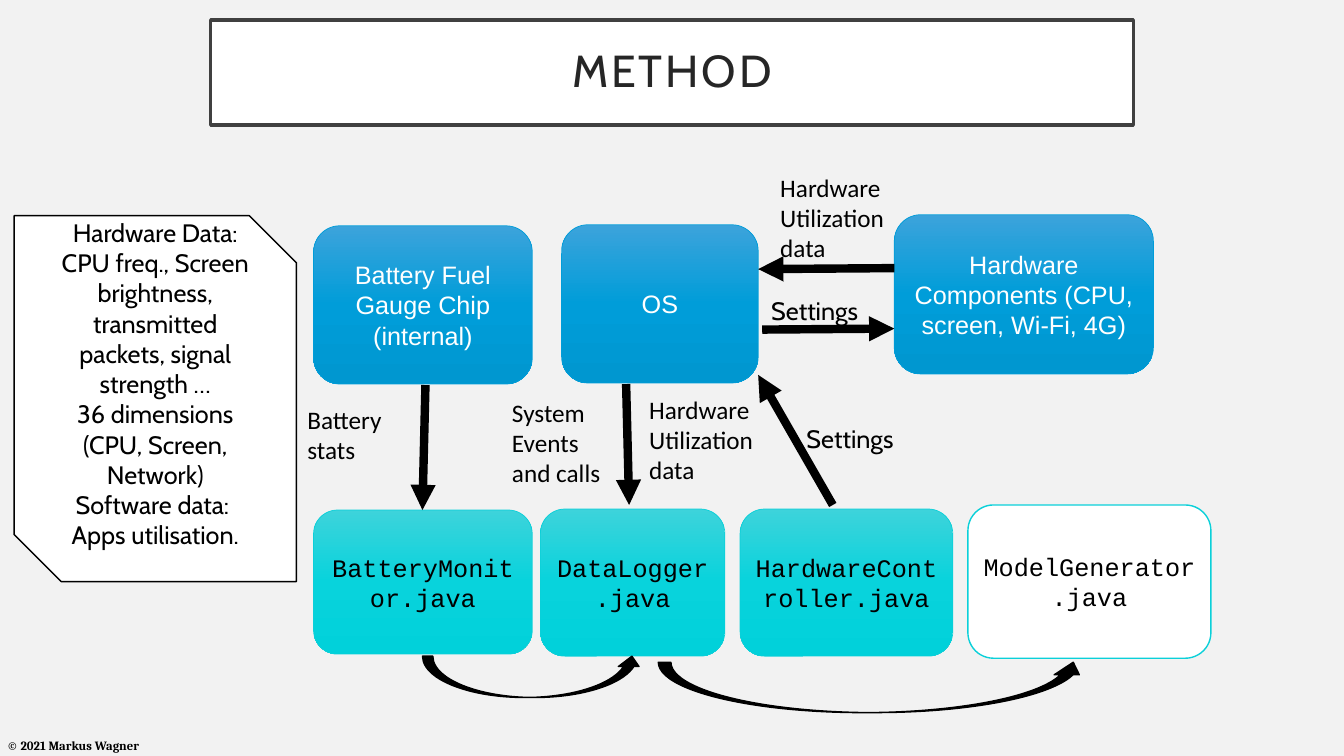
from copy import deepcopy

from lxml.etree import SubElement
from pptx import Presentation
from pptx.dml.color import RGBColor
from pptx.enum.shapes import MSO_CONNECTOR, MSO_SHAPE
from pptx.enum.text import MSO_ANCHOR, MSO_AUTO_SIZE, PP_ALIGN
from pptx.oxml.ns import qn
from pptx.util import Inches, Pt

BACKGROUND = RGBColor(0xF2, 0xF2, 0xF2)
WHITE = RGBColor(0xFF, 0xFF, 0xFF)
BLACK = RGBColor(0, 0, 0)
TITLE_TEXT = RGBColor(0x26, 0x26, 0x26)
TITLE_LINE = RGBColor(0x40, 0x40, 0x40)
TEAL = RGBColor(0x0B, 0xD0, 0xD9)
BLUE = RGBColor(0x00, 0x9D, 0xD9)
TEAL_SHADES = (RGBColor(0x3D, 0xD3, 0xDB), RGBColor(0x08, 0xD3, 0xDC), RGBColor(0x01, 0xD1, 0xDA))
BLUE_SHADES = (RGBColor(0x3C, 0xA3, 0xDB), BLUE, RGBColor(0x00, 0x97, 0xD0))

HARDWARE_DATA = ["Hardware", "Utilization", "data"]

# text, left, top, width, height
SYSTEM_BOXES = [
    ("Battery Fuel Gauge Chip (internal)", 3.11, 2.24, 2.17, 1.57),
    ("OS", 5.57, 2.23, 1.95, 1.57),
    ("Hardware Components (CPU, screen, Wi-Fi, 4G)", 8.87, 2.13, 2.57, 1.58),
]
JAVA_BOXES = [
    ("BatteryMonitor.java", 3.11, 5.06, 2.17, 1.43),
    ("DataLogger.java", 5.36, 5.05, 1.83, 1.46),
    ("HardwareController.java", 7.34, 5.05, 2.11, 1.46),
]
# lines, left, top, width, height, font
LABELS = [
    (["Battery stats"], 2.95, 3.96, 1.02, 1.01, "Calibri"),
    (["System Events and calls"], 4.98, 3.89, 1.2, 1.01, "Calibri"),
    (HARDWARE_DATA, 6.34, 3.86, 1.29, 1.31, "Calibri"),
    (HARDWARE_DATA, 7.64, 1.66, 1.29, 1.31, "Calibri"),
    (["Settings"], 7.55, 2.88, 1.38, 0.4, "Cabin"),
    (["Settings"], 7.9, 4.15, 1.38, 0.4, "Cabin"),
]
# start x, start y, end x, end y
ARROWS = [
    (4.22, 3.82, 4.19, 5.06),
    (6.21, 3.81, 6.24, 5.01),
    (8.26, 5.01, 7.52, 3.72),
    (8.87, 2.66, 7.52, 2.67),
    (7.56, 3.27, 8.87, 3.26),
]
CURVED_ARROWS = [(4.19, 6.51, 2.18, 0.41), (6.53, 6.57, 4.24, 0.5)]
DATA_LINES = [
    "Hardware Data: CPU freq., Screen brightness,",
    "transmitted packets, signal strength …",
    "36 dimensions",
    "(CPU, Screen, Network)",
    "Software data: ",
    "Apps utilisation.",
]


def write_text(shape, lines, font="Cabin", size=18, color=BLACK, bold=False,
               align=PP_ALIGN.CENTER, anchor=MSO_ANCHOR.MIDDLE,
               insets=(0.1, 0.05, 0.1, 0.05), line_spacing=None, tracking=None, wrap=True):
    frame = shape.text_frame
    frame.word_wrap = wrap
    frame.vertical_anchor = anchor
    frame.margin_left, frame.margin_top, frame.margin_right, frame.margin_bottom = map(Inches, insets)
    for index, line in enumerate(lines):
        paragraph = frame.add_paragraph() if index else frame.paragraphs[0]
        paragraph.alignment = align
        paragraph.line_spacing = line_spacing
        run = paragraph.add_run()
        run.text = line
        run.font.name = font
        run.font.size = Pt(size)
        run.font.bold = bold
        run.font.color.rgb = color
        if tracking:
            run.font._element.set("spc", str(tracking * 100))


def fill_gradient(shape, shades):
    """Fill from top to bottom with evenly spaced shades."""
    shape.fill.gradient()
    shape.fill.gradient_angle = 270
    stop_list = shape._element.spPr.find(qn("a:gradFill")).find(qn("a:gsLst"))
    stop_list.append(deepcopy(stop_list[-1]))
    for index, (stop, shade) in enumerate(zip(shape.fill.gradient_stops, shades)):
        stop.position = index / (len(shades) - 1)
        stop.color.rgb = shade


def add_box(slide, kind, left, top, width, height, fill, line, line_width):
    shape = slide.shapes.add_shape(kind, *map(Inches, (left, top, width, height)))
    shape.shadow.inherit = False
    if isinstance(fill, RGBColor):
        shape.fill.solid()
        shape.fill.fore_color.rgb = fill
    else:
        fill_gradient(shape, fill)
    shape.line.color.rgb = line
    shape.line.width = Pt(line_width)
    return shape


def add_node(slide, node, fill, line, line_width, font, color):
    text, *place = node
    shape = add_box(slide, MSO_SHAPE.ROUNDED_RECTANGLE, *place, fill, line, line_width)
    write_text(shape, [text], font=font, color=color, insets=(0.07, 0.04, 0.07, 0.04))


def add_label(slide, lines, left, top, width, height, font, **text_format):
    box = slide.shapes.add_textbox(*map(Inches, (left, top, width, height)))
    write_text(box, lines, font=font, align=PP_ALIGN.LEFT, anchor=MSO_ANCHOR.TOP, **text_format)
    box.text_frame.auto_size = MSO_AUTO_SIZE.SHAPE_TO_FIT_TEXT


def add_arrow(slide, *ends):
    arrow = slide.shapes.add_connector(MSO_CONNECTOR.STRAIGHT, *map(Inches, ends))
    arrow.line.color.rgb = BLACK
    arrow.line.width = Pt(6)
    SubElement(arrow.line._get_or_add_ln(), qn("a:tailEnd"), type="triangle")
    SubElement(arrow._element.spPr, qn("a:effectLst"))


def main():
    presentation = Presentation()
    presentation.slide_width = Inches(13.33)
    presentation.slide_height = Inches(7.5)
    slide = presentation.slides.add_slide(presentation.slide_layouts[6])
    slide.background.fill.solid()
    slide.background.fill.fore_color.rgb = BACKGROUND

    # Copyright line and title
    add_label(slide, ["© 2021 Markus Wagner"], 0, 7.29, 1.63, 0.2, "Cambria", size=9, bold=True,
              insets=(0.07, 0.03, 0.07, 0.03), line_spacing=1.02, wrap=False)
    title = add_box(slide, MSO_SHAPE.RECTANGLE, 2.09, 0.2, 9.15, 1.04, WHITE, TITLE_LINE, 2.5)
    write_text(title, ["METHOD"], size=32, color=TITLE_TEXT, insets=(0.2, 0.2, 0.2, 0.2),
               line_spacing=0.9, tracking=2)

    # Phone components and Java modules
    for node in SYSTEM_BOXES:
        add_node(slide, node, BLUE_SHADES, BLUE, 0.5, "Arial", WHITE)
    for node in JAVA_BOXES:
        add_node(slide, node, TEAL_SHADES, TEAL, 0.5, "Courier New", BLACK)
    add_node(slide, ("ModelGenerator.java", 9.6, 5.01, 2.41, 1.52), WHITE, TEAL, 1,
             "Courier New", BLACK)

    # Data flows and their labels
    for ends in ARROWS:
        add_arrow(slide, *ends)
    for place in CURVED_ARROWS:
        add_box(slide, MSO_SHAPE.CURVED_UP_ARROW, *place, BLACK, BLACK, 1)
    for label in LABELS:
        add_label(slide, *label)

    # Summary of collected data
    summary = add_box(slide, MSO_SHAPE.SNIP_2_DIAG_RECTANGLE, 0.14, 2.14, 2.8, 3.63, WHITE, BLACK, 1)
    write_text(summary, DATA_LINES, insets=(0.1, 0.05, 0.1, 0.35))

    presentation.save("out.pptx")


if __name__ == "__main__":
    main()
